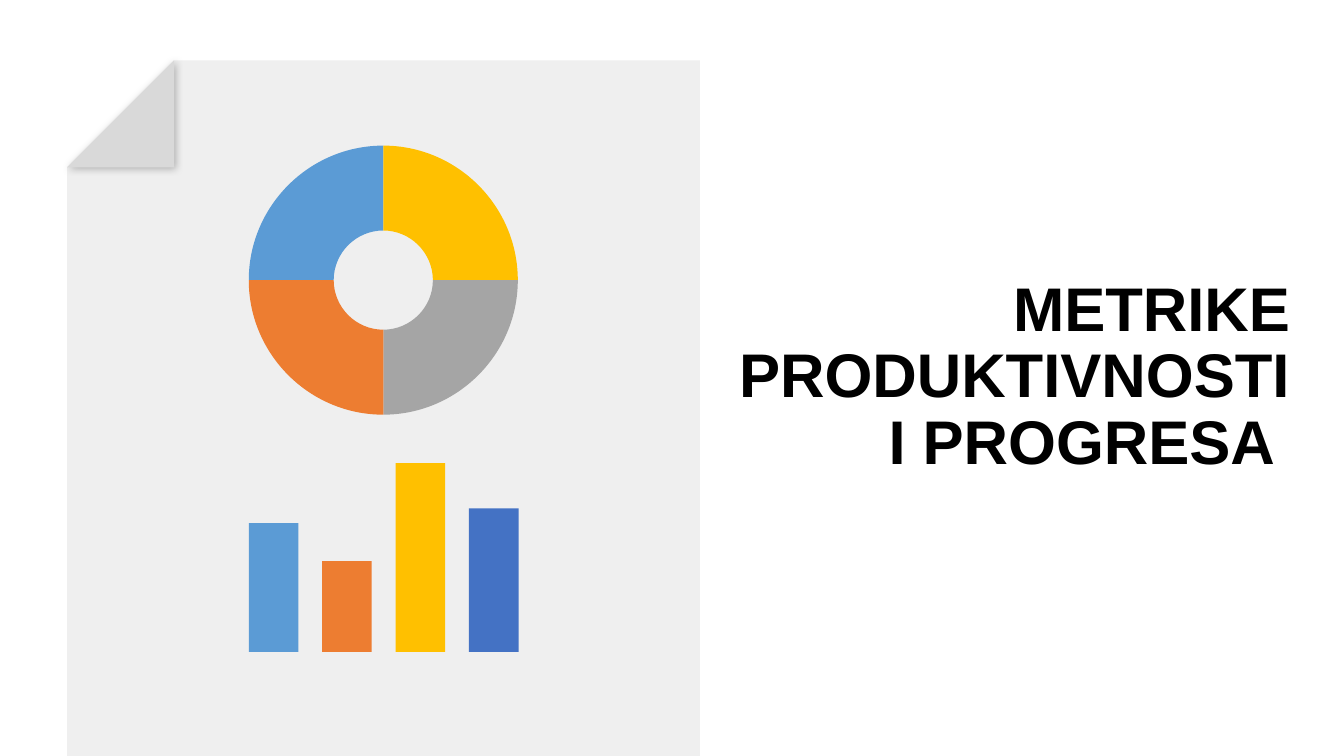
"""Build a title slide with a folded report sheet, a four-part ring and four bars."""
import math

from lxml import etree
from pptx import Presentation
from pptx.dml.color import RGBColor
from pptx.enum.shapes import MSO_SHAPE
from pptx.enum.text import MSO_ANCHOR, MSO_AUTO_SIZE, PP_ALIGN
from pptx.oxml.ns import qn
from pptx.util import Cm, Pt

RECTANGLE = MSO_SHAPE.RECTANGLE
MIDDLE = MSO_ANCHOR.MIDDLE
NO_AUTOFIT = MSO_AUTO_SIZE.NONE
RIGHT = PP_ALIGN.RIGHT

TITLE = "METRIKE PRODUKTIVNOSTI I PROGRESA "
COLORS = {
    "sheet": "EFEFEF", "fold": "D9D9D9", "text": "000000", "sky": "5B9BD5",
    "orange": "ED7D31", "gold": "FFC000", "gray": "A5A5A5", "blue": "4472C4",
}
RING_QUARTERS = ["sky", "gold", "gray", "orange"]
BARS = [("sky", 3.25), ("orange", 2.29), ("gold", 4.76), ("blue", 3.62)]

SHEET_LEFT, SHEET_TOP, SHEET_RIGHT, SHEET_BOTTOM = 1.69, 1.52, 17.64, 21.51
FOLD = 2.7
RING_X, RING_Y, RING_OUTER, RING_INNER = 9.66, 7.06, 3.39, 1.25
QUARTER_CURVE = 0.55
BAR_LEFT, BAR_BASE, BAR_WIDTH, BAR_PITCH = 6.27, 16.43, 1.25, 1.85


def paint(shape, color):
    shape.fill.solid()
    shape.fill.fore_color.rgb = RGBColor.from_string(COLORS[color])
    shape.line.fill.background()
    shape.shadow.inherit = False


def add_outline(slide, points, color):
    corners = [(Cm(x), Cm(y)) for x, y in points]
    builder = slide.shapes.build_freeform(*corners[0], scale=1.0)
    builder.add_line_segments(corners[1:], close=True)
    outline = builder.convert_to_shape()
    paint(outline, color)
    return outline


def add_shadow(shape):
    effects = shape.element.spPr.find(qn("a:effectLst"))
    shadow = etree.SubElement(
        effects, qn("a:outerShdw"), blurRad=str(Pt(5.6)), dist=str(Pt(1.5)),
        dir=str(44 * 60000), algn="tl", rotWithShape="0")
    tint = etree.SubElement(shadow, qn("a:srgbClr"), val="000000")
    etree.SubElement(tint, qn("a:alpha"), val="25000")


def add_sheet(slide):
    fold_x, fold_y = SHEET_LEFT + FOLD, SHEET_TOP + FOLD
    slope = [(SHEET_LEFT, fold_y), (fold_x, SHEET_TOP)]
    add_outline(slide, slope + [(SHEET_RIGHT, SHEET_TOP), (SHEET_RIGHT, SHEET_BOTTOM),
                                (SHEET_LEFT, SHEET_BOTTOM)], "sheet")
    add_shadow(add_outline(slide, slope + [(fold_x, fold_y)], "fold"))


def quarter_arc(radius, start):
    """Return the start, two control points and end of a quarter circle."""
    cos, sin = round(math.cos(start)), round(math.sin(start))
    handles = [(1, 0), (1, QUARTER_CURVE), (QUARTER_CURVE, 1), (0, 1)]
    return [(RING_X + radius * (u * cos - v * sin), RING_Y + radius * (u * sin + v * cos))
            for u, v in handles]


def bend(segments):
    """Merge three straight segments into one curve."""
    curve = etree.Element(qn("a:cubicBezTo"))
    segments[0].addprevious(curve)
    for segment in segments:
        curve.append(segment[0])
        segment.getparent().remove(segment)


def add_ring(slide):
    for index, color in enumerate(RING_QUARTERS):
        start = math.pi + index * math.pi / 2
        points = quarter_arc(RING_OUTER, start) + quarter_arc(RING_INNER, start)[::-1]
        quarter = add_outline(slide, points, color)
        segments = list(quarter.element.spPr.iter(qn("a:lnTo")))
        bend(segments[:3])
        bend(segments[4:7])


def add_bars(slide):
    for index, (color, height) in enumerate(BARS):
        bar = slide.shapes.add_shape(
            RECTANGLE, Cm(BAR_LEFT + index * BAR_PITCH), Cm(BAR_BASE - height),
            Cm(BAR_WIDTH), Cm(height))
        paint(bar, color)


def add_title(slide):
    title = slide.shapes.title
    title.left, title.top, title.width, title.height = Cm(17.63), Cm(3.68), Cm(15.22), Cm(11.68)
    frame = title.text_frame
    frame.text = TITLE
    frame.word_wrap = True
    frame.auto_size = NO_AUTOFIT
    frame.vertical_anchor = MIDDLE
    frame.margin_left = frame.margin_right = frame.margin_top = frame.margin_bottom = Cm(0.33)
    heading = frame.paragraphs[0]
    heading.alignment = RIGHT
    heading.line_spacing = 0.9
    font = heading.runs[0].font
    font.name, font.size, font.bold = "Arial", Pt(44), True
    font.color.rgb = RGBColor.from_string(COLORS["text"])


def main():
    deck = Presentation()
    deck.slide_width, deck.slide_height = Cm(33.87), Cm(19.05)
    slide = deck.slides.add_slide(deck.slide_layouts[5])
    add_title(slide)
    add_sheet(slide)
    add_ring(slide)
    add_bars(slide)
    deck.save("out.pptx")


if __name__ == "__main__":
    main()
